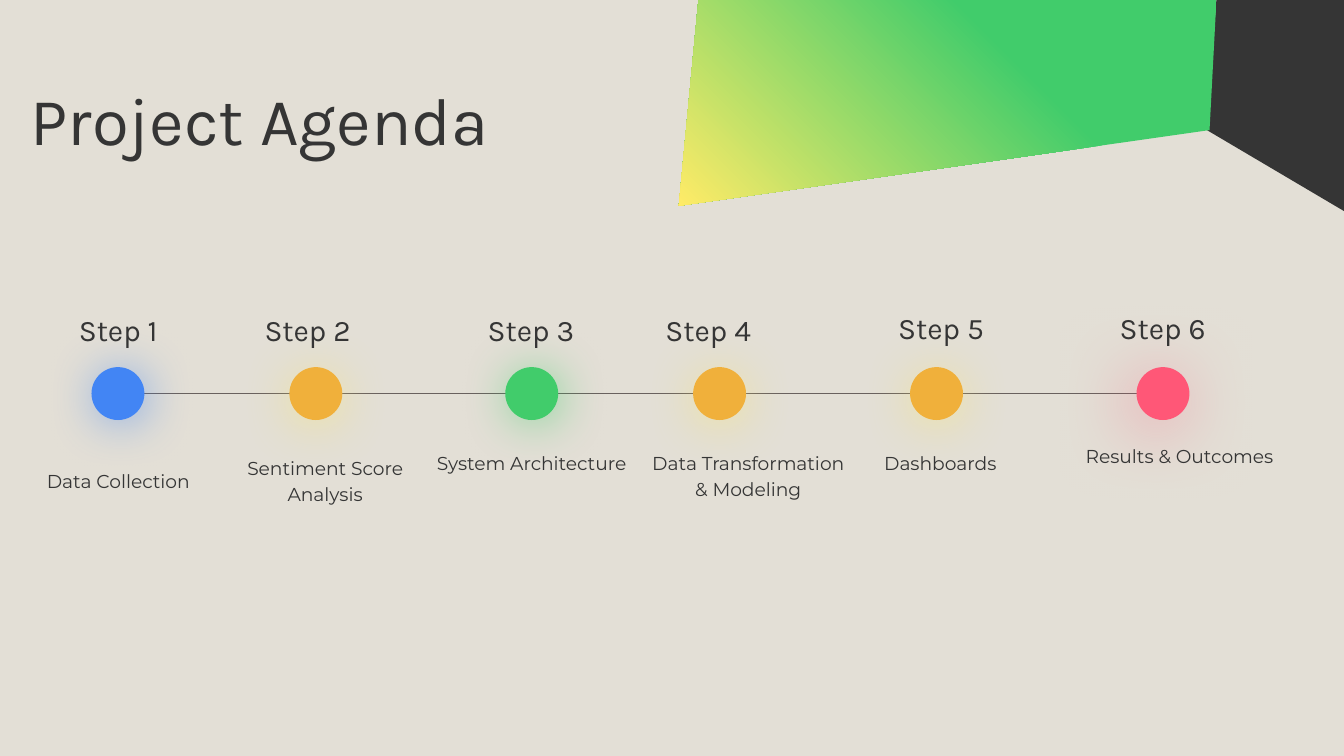
"""Build the project agenda slide: a six-step timeline under an angular header."""
import lxml.etree
import pptx
import pptx.dml.color
import pptx.enum.shapes
import pptx.enum.text
import pptx.oxml
import pptx.oxml.ns
import pptx.util

Cm, Pt = pptx.util.Cm, pptx.util.Pt
Color = pptx.dml.color.RGBColor.from_string
Align = pptx.enum.text.PP_ALIGN
NAMESPACE = pptx.oxml.ns.nsdecls("a")

THEME = {
    "background": "E3DFD6", "dark": "353535", "line": "69615E",
    "blue": "4285F4", "amber": "F0B03B", "green": "41CC6B",
    "pink": "FF5777", "yellow": "FFEB67",
    "heading_font": "Karla", "body_font": "Montserrat",
    "title_size": 36, "label_size": 16, "caption_size": 10,
}
TITLE = {"font": THEME["heading_font"], "size": THEME["title_size"],
         "paragraph": {"alignment": Align.LEFT, "line_spacing": 0.9}}
LABEL = {"font": THEME["heading_font"], "size": THEME["label_size"],
         "paragraph": {"alignment": Align.CENTER}}
CAPTION = {"font": THEME["body_font"], "size": THEME["caption_size"],
           "paragraph": {"alignment": Align.CENTER, "line_spacing": 1.15}}
FRAME = {"word_wrap": True,
         "auto_size": pptx.enum.text.MSO_AUTO_SIZE.NONE,
         "vertical_anchor": pptx.enum.text.MSO_ANCHOR.TOP,
         "margin_left": Cm(0.25), "margin_right": Cm(0.25),
         "margin_top": Cm(0.25), "margin_bottom": Cm(0.25)}
GLOWS = {
    "blue": (THEME["blue"], 56, 25.9, 2.2, 45),
    "green": (THEME["green"], 56, 25.9, 2.2, 45),
    "amber": (THEME["yellow"], 50, 27, 3, 90),
    "pink": (THEME["pink"], 50, 38.2, 6, 130),
}


def write_text(box, text, style):
    """Put one formatted paragraph into a box."""
    for name, value in FRAME.items():
        setattr(box.text_frame, name, value)
    para = box.text_frame.paragraphs[0]
    for name, value in style["paragraph"].items():
        setattr(para, name, value)
    span = para.add_run()
    span.text = text
    for name, value in {"name": style["font"], "size": Pt(style["size"]), "bold": False}.items():
        setattr(span.font, name, value)
    span.font.color.rgb = Color(THEME["dark"])


def draw_panel(page, corners):
    """Draw a closed, unlined polygon through corners in centimetres."""
    points = [(Cm(x), Cm(y)) for x, y in corners]
    builder = page.shapes.build_freeform(*points[0])
    builder.add_line_segments(points[1:], close=True)
    panel = builder.convert_to_shape()
    panel.shadow.inherit = False
    panel.line.fill.background()
    return panel


deck = pptx.Presentation()
deck.slide_width, deck.slide_height = Cm(25.4), Cm(14.29)
page = deck.slides.add_slide(deck.slide_layouts.get_by_name("Title Only"))
page.background.fill.solid()
page.background.fill.fore_color.rgb = Color(THEME["background"])

dark_panel = draw_panel(page, [(22.81, 2.46), (25.4, 3.99), (25.4, 0), (22.99, 0)])
dark_panel.fill.solid()
dark_panel.fill.fore_color.rgb = Color(THEME["dark"])

bright_panel = draw_panel(page, [(13.2, 0), (12.83, 3.89), (22.86, 2.46), (22.99, 0)])
stops = "".join(
    f'<a:gs pos="{position * 1000}"><a:srgbClr val="{THEME[color]}"/></a:gs>'
    for position, color in [(0, "green"), (35, "green"), (100, "yellow")])
gradient = pptx.oxml.parse_xml(
    f'<a:gradFill {NAMESPACE}><a:gsLst>{stops}</a:gsLst>'
    '<a:lin ang="8100000" scaled="0"/></a:gradFill>')
outline = bright_panel.element.spPr.find(pptx.oxml.ns.qn("a:custGeom"))
outline.addnext(gradient)

title = page.shapes.title
for name, value in {"left": 0.33, "top": 1.4, "width": 16.18, "height": 3.28}.items():
    setattr(title, name, Cm(value))
write_text(title, "Project Agenda", TITLE)

dot_size, dot_top = 1, 6.94
axis_y = dot_top + dot_size / 2
axis = page.shapes.add_connector(
    pptx.enum.shapes.MSO_CONNECTOR.STRAIGHT, Cm(2.72), Cm(axis_y), Cm(21.49), Cm(axis_y))
axis.line.color.rgb = Color(THEME["line"])
axis.line.width = Pt(0.75)
lxml.etree.SubElement(axis.element.spPr, pptx.oxml.ns.qn("a:effectLst"))

steps = [
    ("Data Collection", "blue", 2.23, (1.09, 5.64, 2.29, 1.14), (0.33, 8.56, 3.81, 1.4)),
    ("Sentiment Score Analysis", "amber", 5.97, (4.67, 5.64, 2.29, 4.14), (4.24, 8.33, 3.81, 2.95)),
    ("System Architecture", "green", 10.05, (8.89, 5.64, 2.29, 4.14), (7.85, 8.23, 4.39, 2.95)),
    ("Data Transformation & Modeling", "amber", 13.6, (12.24, 5.64, 2.29, 4.65), (12.07, 8.23, 4.14, 2.95)),
    ("Dashboards", "amber", 17.7, (16.21, 5.61, 3.15, 1.19), (16.41, 8.23, 2.72, 2.95)),
    ("Results & Outcomes", "pink", 21.98, (20.4, 5.61, 3.15, 1.88), (20.22, 8.1, 4.14, 2.95)),
]
for number, (caption, color, center, label_area, caption_area) in enumerate(steps, 1):
    dot = page.shapes.add_shape(
        pptx.enum.shapes.MSO_SHAPE.OVAL,
        Cm(center - dot_size / 2), Cm(dot_top), Cm(dot_size), Cm(dot_size))
    dot.fill.solid()
    dot.fill.fore_color.rgb = Color(THEME[color])
    dot.line.fill.background()
    dot.shadow.inherit = False
    glow, opacity, blur, distance, angle = GLOWS[color]
    effects = dot.element.spPr.find(pptx.oxml.ns.qn("a:effectLst"))
    effects.append(pptx.oxml.parse_xml(
        f'<a:outerShdw {NAMESPACE} blurRad="{Pt(blur)}" dist="{Pt(distance)}" '
        f'dir="{angle * 60000}" algn="bl" rotWithShape="0"><a:srgbClr val="{glow}">'
        f'<a:alpha val="{opacity * 1000}"/></a:srgbClr></a:outerShdw>'))
    for text, area, style in [(f"Step {number}", label_area, LABEL),
                              (caption, caption_area, CAPTION)]:
        box = page.shapes.add_textbox(*map(Cm, area))
        write_text(box, text, style)

deck.save("out.pptx")
